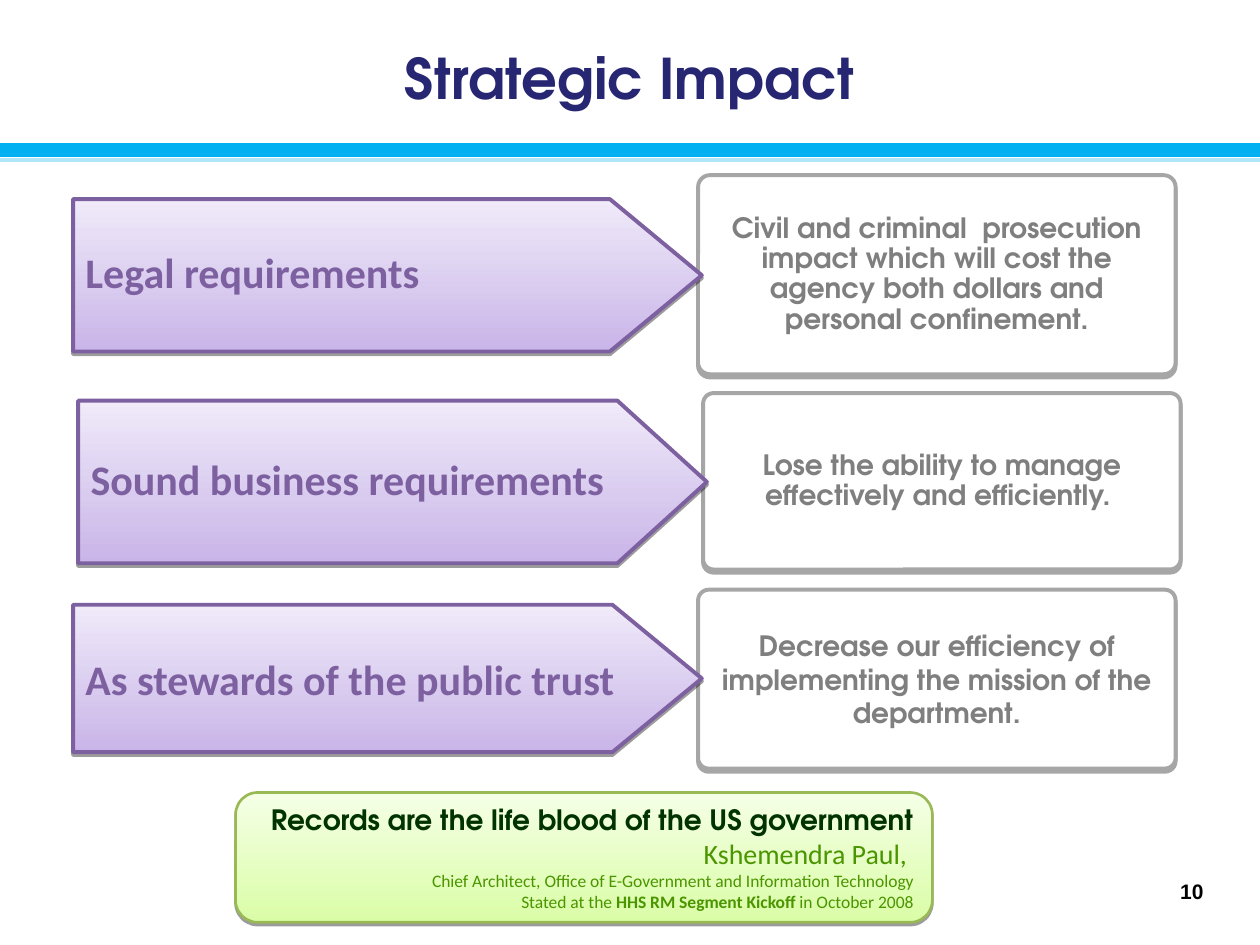
from dataclasses import dataclass

from lxml.etree import SubElement
from pptx import Presentation
from pptx.dml.color import RGBColor
from pptx.enum.shapes import MSO_CONNECTOR, MSO_SHAPE
from pptx.enum.text import MSO_ANCHOR, PP_ALIGN
from pptx.oxml.ns import qn
from pptx.util import Inches, Pt


@dataclass(frozen=True)
class Theme:
    """Colours, fonts and type sizes of the slide."""
    heading: str = "TeX Gyre Adventor"
    body: str = "Calibri"
    number: str = "Arial"
    navy: str = "262673"
    blue: str = "00B0F0"
    white: str = "FFFFFF"
    black: str = "000000"
    gray: str = "7F7F7F"
    gray_line: str = "A6A6A6"
    purple: str = "7D60A0"
    purple_fill: tuple = ("C9B5E8", "F0EAF9")
    dark_green: str = "003300"
    green: str = "4B9600"
    green_line: str = "98B954"
    green_fill: tuple = ("DAFDA7", "F5FFE6")
    title_size: int = 32
    arrow_size: int = 24
    text_size: int = 16
    number_size: int = 12
    small_size: int = 10


THEME = Theme()
TITLE = "Strategic Impact"
PAGE_NUMBER = "10"
RULES = [(1.19, 8, 100), (1.27, 2.25, 31)]
ROWS = [
    {"requirement": "Legal requirements",
     "impact": "Civil and criminal  prosecution impact which will cost the agency "
               "both dollars and personal confinement.",
     "left": 0.58, "arrow": (1.58, 1.21), "tip": 0.73, "card": (1.39, 1.58), "spacing": 0.9},
    {"requirement": "Sound business requirements",
     "impact": "Lose the ability to manage effectively and efficiently. ",
     "left": 0.62, "arrow": (3.18, 1.29), "tip": 0.71, "card": (3.12, 1.4), "spacing": 0.9},
    {"requirement": "As stewards of the public trust",
     "impact": "Decrease our efficiency of implementing the mission of the department.",
     "left": 0.58, "arrow": (4.8, 1.17), "tip": 0.71, "card": (4.68, 1.42), "spacing": 1.0},
]
QUOTE = [
    [("Records are the life blood of the US government",
      THEME.heading, THEME.text_size, THEME.dark_green, True)],
    [("Kshemendra Paul, ", THEME.body, THEME.text_size, THEME.green, False)],
    [("Chief Architect, Office of E-Government and Information Technology",
      THEME.body, THEME.small_size, THEME.green, False)],
    [("Stated at the ", THEME.body, THEME.small_size, THEME.green, False),
     ("HHS RM Segment Kickoff ", THEME.body, THEME.small_size, THEME.green, True),
     ("in October 2008", THEME.body, THEME.small_size, THEME.green, False)],
]
ARROW_WIDTH = 4.99
CARD_OFFSET = 4.96
CARD_WIDTH = 3.79


def rgb(value):
    """Return the colour for a hexadecimal value."""
    return RGBColor.from_string(value)


def write(shape, paragraphs, alignment, anchor=MSO_ANCHOR.MIDDLE, spacing=1.0):
    """Fill a shape with paragraphs of formatted runs."""
    frame = shape.text_frame
    frame.word_wrap = True
    frame.vertical_anchor = anchor
    for index, runs in enumerate(paragraphs):
        paragraph = frame.add_paragraph() if index else frame.paragraphs[0]
        paragraph.alignment = alignment
        paragraph.line_spacing = spacing
        for text, font, size, color, bold in runs:
            run = paragraph.add_run()
            run.text = text
            run.font.name = font
            run.font.size = Pt(size)
            run.font.color.rgb = rgb(color)
            run.font.bold = bold


def add_text(slide, box, run, alignment, anchor):
    """Add a text box holding a single run."""
    shape = slide.shapes.add_textbox(*map(Inches, box))
    write(shape, [[run]], alignment, anchor)


def add_panel(slide, kind, box, adjustment, fill, line, line_width, shadow):
    """Add a filled, outlined shape with a hard shadow below it."""
    shape = slide.shapes.add_shape(kind, *map(Inches, box))
    shape.adjustments[0] = adjustment
    if isinstance(fill, tuple):
        shape.fill.gradient()
        shape.fill.gradient_angle = 90
        for stop, color in zip(shape.fill.gradient_stops, fill):
            stop.color.rgb = rgb(color)
    else:
        shape.fill.solid()
        shape.fill.fore_color.rgb = rgb(fill)
    shape.line.color.rgb = rgb(line)
    shape.line.width = Pt(line_width)
    shape.shadow.inherit = False
    distance, opacity = shadow
    effects = shape._element.spPr.find(qn("a:effectLst"))
    outer = SubElement(effects, qn("a:outerShdw"), blurRad="0", dist=str(Pt(distance)),
                       dir="5400000", algn="ctr", rotWithShape="0")
    color = SubElement(outer, qn("a:srgbClr"), val=THEME.black)
    SubElement(color, qn("a:alpha"), val=str(opacity * 1000))
    return shape


def add_rule(slide, top, width, opacity):
    """Add a horizontal rule across the slide."""
    rule = slide.shapes.add_connector(
        MSO_CONNECTOR.STRAIGHT, Inches(0), Inches(top), Inches(10), Inches(top))
    rule.line.color.rgb = rgb(THEME.blue)
    rule.line.width = Pt(width)
    properties = rule._element.spPr
    if opacity < 100:
        color = next(properties.iter(qn("a:srgbClr")))
        SubElement(color, qn("a:alpha"), val=str(opacity * 1000))
    SubElement(properties, qn("a:effectLst"))


def add_card(slide, row):
    """Add the impact card of a row."""
    top, height = row["card"]
    card = add_panel(slide, MSO_SHAPE.ROUNDED_RECTANGLE,
                     (row["left"] + CARD_OFFSET, top, CARD_WIDTH, height),
                     0.06, THEME.white, THEME.gray_line, 2.25, (1.8, 35))
    run = (row["impact"], THEME.heading, THEME.text_size, THEME.gray, True)
    write(card, [[run]], PP_ALIGN.CENTER, spacing=row["spacing"])


def add_arrow(slide, row):
    """Add the requirement arrow of a row."""
    top, height = row["arrow"]
    arrow = add_panel(slide, MSO_SHAPE.PENTAGON, (row["left"], top, ARROW_WIDTH, height),
                      row["tip"] / height, THEME.purple_fill, THEME.purple, 2.25, (1.6, 38))
    run = (row["requirement"], THEME.body, THEME.arrow_size, THEME.purple, True)
    write(arrow, [[run]], PP_ALIGN.LEFT, spacing=row["spacing"])


def main():
    """Build and save the slide."""
    presentation = Presentation()
    presentation.slide_width, presentation.slide_height = Inches(10), Inches(7.5)
    slide = presentation.slides.add_slide(presentation.slide_layouts[6])
    for rule in RULES:
        add_rule(slide, *rule)
    add_text(slide, (0.5, 0.11, 9, 1),
             (TITLE, THEME.heading, THEME.title_size, THEME.navy, True),
             PP_ALIGN.CENTER, MSO_ANCHOR.MIDDLE)
    quote = add_panel(slide, MSO_SHAPE.ROUNDED_RECTANGLE, (1.87, 6.29, 5.53, 1.03),
                      0.17, THEME.green_fill, THEME.green_line, 1.5, (1.6, 38))
    write(quote, QUOTE, PP_ALIGN.RIGHT)
    add_text(slide, (3.8, 6.92, 5.85, 0.37),
             (PAGE_NUMBER, THEME.number, THEME.number_size, THEME.black, True),
             PP_ALIGN.RIGHT, MSO_ANCHOR.TOP)
    for add_part in (add_card, add_arrow):
        for row in ROWS:
            add_part(slide, row)
    presentation.save("out.pptx")


if __name__ == "__main__":
    main()
